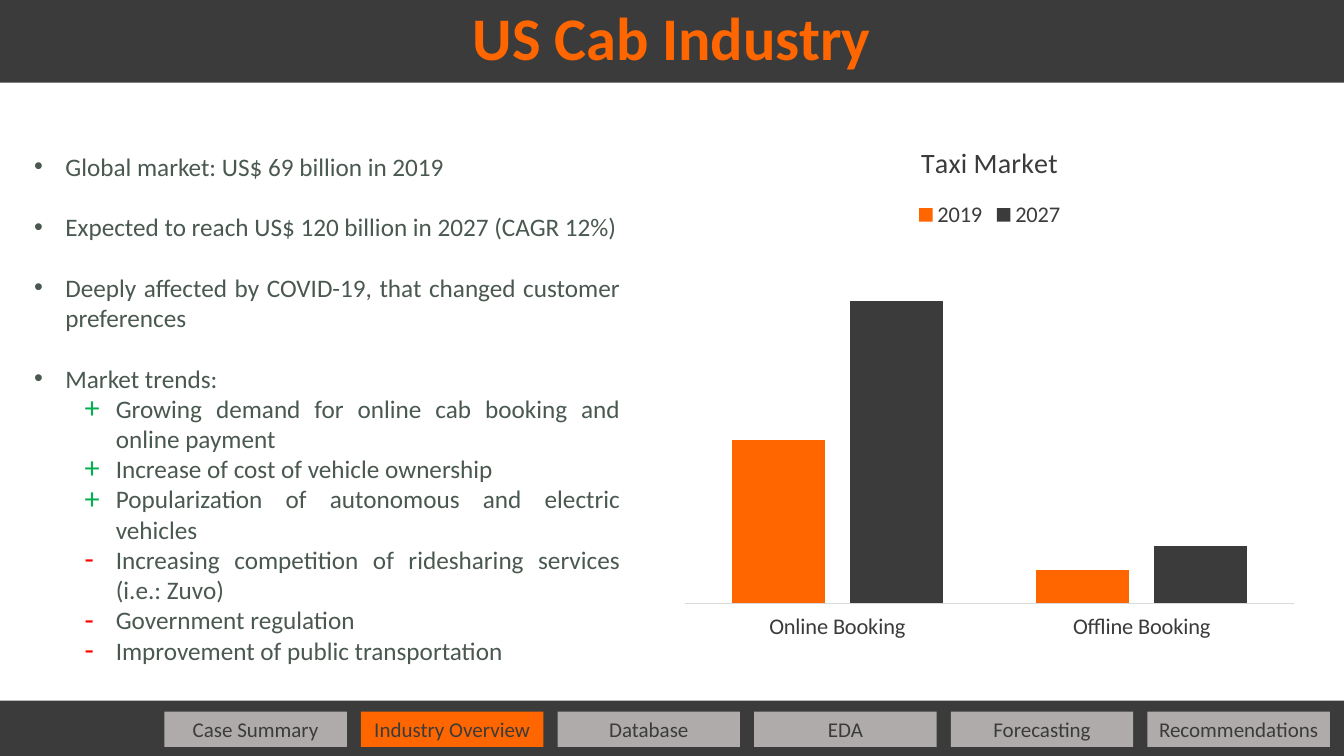
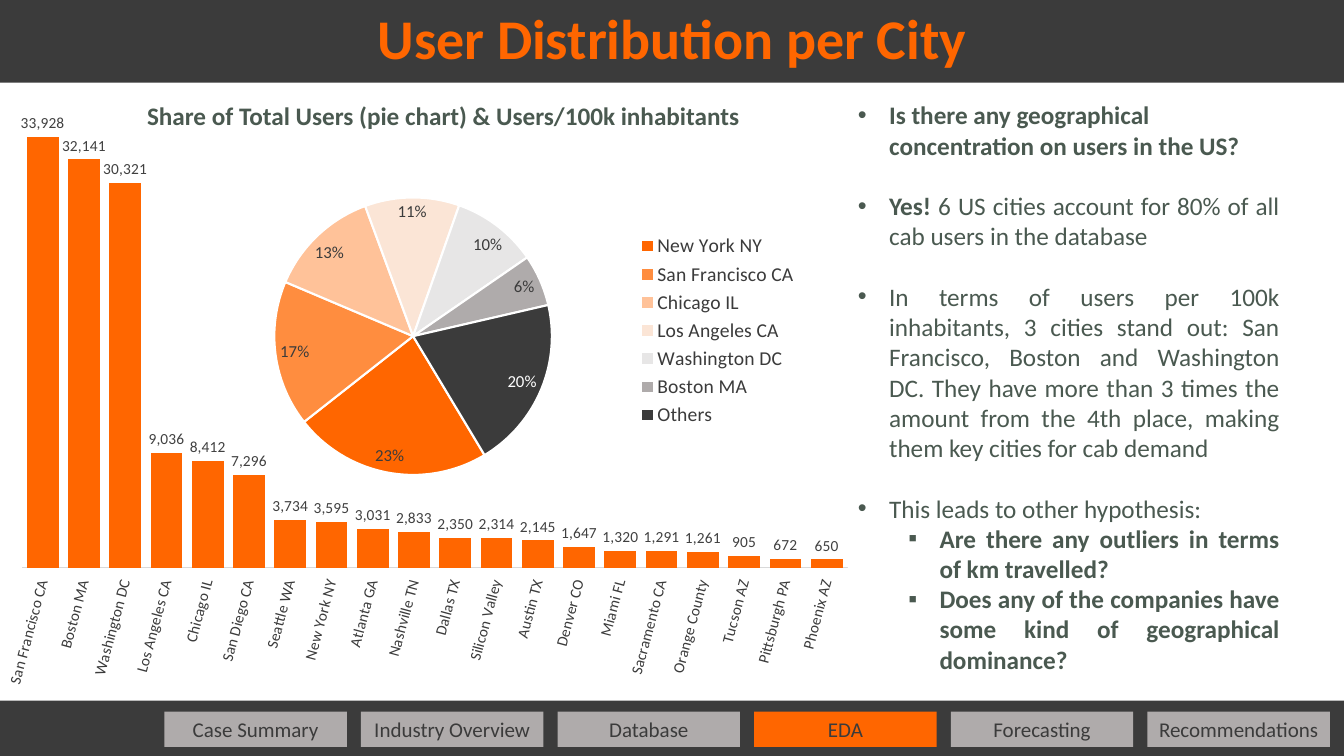
from lxml.etree import SubElement
from pptx import Presentation
from pptx.chart.data import CategoryChartData
from pptx.dml.color import RGBColor
from pptx.enum.chart import (
    XL_CHART_TYPE as ChartType, XL_LABEL_POSITION as LabelPosition,
    XL_LEGEND_POSITION as LegendPosition, XL_TICK_LABEL_POSITION as TickLabel,
    XL_TICK_MARK as TickMark)
from pptx.enum.shapes import MSO_SHAPE as Preset
from pptx.enum.text import MSO_ANCHOR as Anchor, PP_ALIGN as Align
from pptx.oxml.ns import qn
from pptx.util import Inches, Pt

FONT = "Calibri"
DARK, ORANGE, GREY, WHITE = "3B3B3B", "FF6600", "AFABAB", "FFFFFF"
BODY, GREEN, RED, AXIS = "4A5950", "00B050", "FF0000", "D9D9D9"
WIDTH, HEIGHT = 13.33, 7.5
TITLE_BOX = (0, 0, WIDTH, 0.82)
FOOTER_BOX = (0, 6.95, WIDTH, 0.55)
SECTIONS = ["Case Summary", "Industry Overview", "Database", "EDA",
            "Forecasting", "Recommendations"]
LINE_GAP = 21.6

# Bullet kinds: level, character, font, colour, size in percent
BULLETS = {
    "dot": (0, "•", "Arial", None, None),
    "plus": (1, "+", FONT, GREEN, 120),
    "minus": (1, "-", FONT, RED, 120),
    "square": (1, "▪", "Arial", None, None),
}


def color(code):
    return RGBColor.from_string(code)


def set_values(target, values):
    for name, value in values.items():
        setattr(target, name, value)


def style_font(font, size, code, bold=False):
    set_values(font, {"name": FONT, "size": Pt(size), "bold": bold})
    font.color.rgb = color(code)


def fill_solid(target, code):
    target.fill.solid()
    target.fill.fore_color.rgb = color(code)


def inches(box):
    return [Inches(length) for length in box]


def add_xml(parent, tag, **attributes):
    return SubElement(parent, qn(tag), attributes)


# Text and panels
def add_run(paragraph, text, size, code, bold=False):
    run = paragraph.add_run()
    run.text = text
    style_font(run.font, size, code, bold)


def add_panel(slide, box, code):
    shape = slide.shapes.add_shape(Preset.RECTANGLE, *inches(box))
    shape.shadow.inherit = False
    fill_solid(shape, code)
    shape.line.fill.background()
    return shape


def add_label(shape, text, size, code, bold=False, spacing=1.0):
    set_values(shape.text_frame, {"vertical_anchor": Anchor.MIDDLE,
                                  "word_wrap": False})
    paragraph = shape.text_frame.paragraphs[0]
    set_values(paragraph, {"alignment": Align.CENTER, "line_spacing": spacing})
    add_run(paragraph, text, size, code, bold)


def set_bullet(paragraph, kind):
    level, character, font, code, percent = BULLETS[kind]
    paragraph.level = level
    properties = paragraph._p.get_or_add_pPr()
    properties.set("marL", str(Inches(0.31 + 0.5 * level)))
    properties.set("indent", str(-Inches(0.31)))
    if code:
        add_xml(add_xml(properties, "a:buClr"), "a:srgbClr", val=code)
    if percent:
        add_xml(properties, "a:buSzPct", val=str(percent * 1000))
    add_xml(properties, "a:buFont", typeface=font)
    add_xml(properties, "a:buChar", char=character)


def fill_bullets(shape, items):
    """Each item is a bullet kind, an alignment and (text, bold) runs."""
    frame = shape.text_frame
    set_values(frame, {"word_wrap": True, "vertical_anchor": Anchor.TOP})
    for index, (kind, alignment, *runs) in enumerate(items):
        paragraph = frame.add_paragraph() if index else frame.paragraphs[0]
        paragraph.alignment = alignment
        if index and kind == "dot":
            paragraph.space_before = Pt(LINE_GAP)
        set_bullet(paragraph, kind)
        for text, bold in runs:
            add_run(paragraph, text, 18, BODY, bold)


# Shared title band and section bar
def add_frame(presentation, title, title_size, current):
    slide = presentation.slides.add_slide(presentation.slide_layouts[6])
    add_label(add_panel(slide, TITLE_BOX, DARK), title, title_size, ORANGE,
              bold=True, spacing=0.9)
    add_panel(slide, FOOTER_BOX, DARK)
    left, top = FOOTER_BOX[:2]
    for index, section in enumerate(SECTIONS):
        box = (left + 1.63 + 1.95 * index, top + 0.11, 1.81, 0.35)
        button = add_panel(slide, box, ORANGE if section == current else GREY)
        add_label(button, section, 15, DARK)
    return slide


# Charts
def add_chart(slide, box, kind, categories, series, font_size):
    data = CategoryChartData()
    data.categories = categories
    for name, values in series.items():
        data.add_series(name, values)
    chart = slide.shapes.add_chart(kind, *inches(box), data).chart
    style_font(chart.font, font_size, DARK)
    set_values(chart, {"has_title": False, "has_legend": False})
    return chart


def add_legend(chart, position, size):
    chart.has_legend = True
    set_values(chart.legend, {"position": position, "include_in_layout": False})
    style_font(chart.legend.font, size, DARK)


def add_columns(slide, box, categories, series, colors, size, top, gap):
    chart = add_chart(slide, box, ChartType.COLUMN_CLUSTERED, categories,
                      series, size)
    set_values(chart.plots[0], {"gap_width": gap, "overlap": -27,
                                "vary_by_categories": False})
    set_values(chart.value_axis, {
        "visible": False, "has_major_gridlines": False,
        "minimum_scale": 0, "maximum_scale": top})
    axis = chart.category_axis
    set_values(axis, {"major_tick_mark": TickMark.NONE,
                      "minor_tick_mark": TickMark.NONE,
                      "tick_label_position": TickLabel.LOW})
    axis.format.line.color.rgb = color(AXIS)
    axis.format.line.width = Pt(0.75)
    style_font(axis.tick_labels.font, size, DARK)
    for bars, code in zip(chart.plots[0].series, colors):
        fill_solid(bars.format, code)
    return chart


def set_plot_area(chart, left, top, width, height):
    plot_area = chart._chartSpace.chart.plotArea
    for old in plot_area.findall(qn("c:layout")):
        plot_area.remove(old)
    layout = plot_area.makeelement(qn("c:layout"))
    plot_area.insert(0, layout)
    manual = add_xml(layout, "c:manualLayout")
    settings = {"layoutTarget": "inner", "xMode": "edge", "yMode": "edge",
                "x": left, "y": top, "w": width, "h": height}
    for name, value in settings.items():
        add_xml(manual, f"c:{name}", val=str(value))


def add_market_chart(slide, box):
    chart = add_columns(
        slide, box, ["Online Booking", "Offline Booking"],
        {"2019": (54, 11), "2027": (100, 19)}, [ORANGE, DARK],
        size=16, top=119, gap=100)
    chart.has_title = True
    add_run(chart.chart_title.text_frame.paragraphs[0], "Taxi Market", 20, DARK)
    add_legend(chart, LegendPosition.TOP, 16)


def add_city_columns(slide, box):
    users = {
        "San Francisco CA": 33928, "Boston MA": 32141, "Washington DC": 30321,
        "Los Angeles CA": 9036, "Chicago IL": 8412, "San Diego CA": 7296,
        "Seattle WA": 3734, "New York NY": 3595, "Atlanta GA": 3031,
        "Nashville TN": 2833, "Dallas TX": 2350, "Silicon Valley": 2314,
        "Austin TX": 2145, "Denver CO": 1647, "Miami FL": 1320,
        "Sacramento CA": 1291, "Orange County": 1261, "Tucson AZ": 905,
        "Pittsburgh PA": 672, "Phoenix AZ": 650, "": None}
    chart = add_columns(slide, box, list(users),
                        {"Series 1": list(users.values())}, [ORANGE],
                        size=11, top=35000, gap=30)
    set_plot_area(chart, 0.021, 0.026, 0.955, 0.751)
    labels = chart.plots[0].series[0].data_labels
    set_values(labels, {"show_value": True, "number_format": "#,##0",
                        "number_format_is_linked": False,
                        "position": LabelPosition.OUTSIDE_END})
    style_font(labels.font, 11, "404040")
    # City names slant upwards
    text = chart.category_axis._element.find(qn("c:txPr"))
    text.find(qn("a:bodyPr")).set("rot", str(-75 * 60000))


def add_share_pie(slide, box):
    shares = {
        "New York NY": (23, ORANGE), "San Francisco CA": (17, "FF8D3F"),
        "Chicago IL": (13, "FFC299"), "Los Angeles CA": (11, "FBE5D6"),
        "Washington DC": (10, "E7E6E6"), "Boston MA": (6, GREY),
        "Others": (20, DARK)}
    chart = add_chart(slide, box, ChartType.PIE, list(shares),
                      {"Series 1": [share for share, _ in shares.values()]}, 12)
    add_legend(chart, LegendPosition.RIGHT, 14)
    pie = chart.plots[0].series[0]
    set_values(pie.data_labels, {
        "show_percentage": True, "show_value": False, "number_format": "0%",
        "number_format_is_linked": False, "position": LabelPosition.BEST_FIT})
    style_font(pie.data_labels.font, 12, DARK)
    for index, (_, code) in enumerate(shares.values()):
        slice_format = pie.points[index].format
        fill_solid(slice_format, code)
        slice_format.line.color.rgb = color(WHITE)
        slice_format.line.width = Pt(1.5)
    # The dark slice has a white percentage
    dark_label = pie.points[len(shares) - 1].data_label
    style_font(dark_label.font, 12, WHITE)
    dark_label.position = LabelPosition.BEST_FIT
    for element in pie._element.iter(qn("c:dLbl")):
        element.find(qn("c:showVal")).set("val", "0")
        element.find(qn("c:showPercent")).set("val", "1")
    add_xml(chart.plots[0]._element, "c:firstSliceAng", val="149")


# Slides
def build_industry(presentation):
    slide = add_frame(presentation, "US Cab Industry", 43.2, "Industry Overview")
    items = [
        ("dot", "Global market: US$ 69 billion in 2019"),
        ("dot", "Expected to reach US$ 120 billion in 2027 (CAGR 12%)"),
        ("dot", "Deeply affected by COVID-19, that changed customer preferences"),
        ("dot", "Market trends:"),
        ("plus", "Growing demand for online cab booking and online payment"),
        ("plus", "Increase of cost of vehicle ownership"),
        ("plus", "Popularization of autonomous and electric vehicles"),
        ("minus", "Increasing competition of ridesharing services (i.e.: Zuvo)"),
        ("minus", "Government regulation"),
        ("minus", "Improvement of public transportation")]
    text_box = slide.shapes.add_textbox(*inches((0.24, 1.45, 6.01, 5.25)))
    fill_bullets(text_box, [(kind, Align.JUSTIFY, (text, False))
                            for kind, text in items])
    add_market_chart(slide, (6.67, 1.21, 6.29, 5.25))


def build_cities(presentation):
    slide = add_frame(presentation, "User Distribution per City", 40, "EDA")
    add_city_columns(slide, (0.03, 1.07, 9, 5.87))
    fill_bullets(add_panel(slide, (8.41, 0.94, 4.38, 5.86), WHITE), [
        ("dot", Align.LEFT,
         ("Is there any geographical concentration on users in the US?", True)),
        ("dot", Align.JUSTIFY, ("Yes! ", True),
         ("6 US cities account for 80% of all cab users in the database", False)),
        ("dot", Align.JUSTIFY,
         ("In terms of users per 100k inhabitants, 3 cities stand out: "
          "San Francisco, Boston and Washington DC. They have more than 3 times "
          "the amount from the 4th place, making them key cities for cab demand",
          False)),
        ("dot", Align.JUSTIFY, ("This leads to other hypothesis:", False)),
        ("square", Align.JUSTIFY,
         ("Are there any outliers in terms of km travelled?", True)),
        ("square", Align.JUSTIFY,
         ("Does any of the companies have some kind of geographical dominance?",
          True))])
    add_share_pie(slide, (2.1, 1.71, 5.92, 3.14))
    heading = slide.shapes.add_textbox(*inches((1.36, 0.95, 6.12, 0.4)))
    heading.text_frame.word_wrap = True
    add_run(heading.text_frame.paragraphs[0],
            "Share of Total Users (pie chart) & Users/100k inhabitants",
            18, BODY, bold=True)


presentation = Presentation()
set_values(presentation, {"slide_width": Inches(WIDTH),
                          "slide_height": Inches(HEIGHT)})
build_industry(presentation)
build_cities(presentation)
presentation.save("out.pptx")
